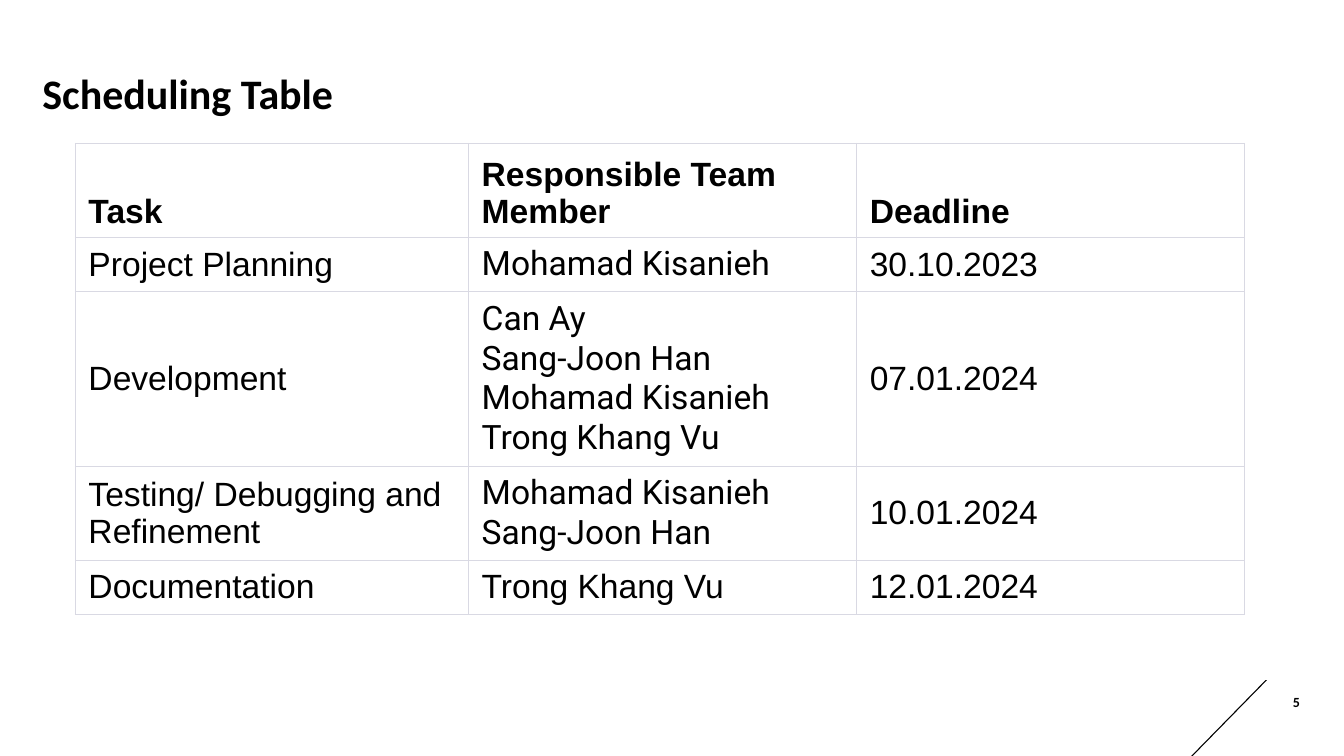
"""Build the scheduling table slide."""
import pptx
import pptx.dml.color
import pptx.enum.shapes
import pptx.enum.text
import pptx.oxml
import pptx.oxml.ns
import pptx.util
from pptx.util import Cm, Pt

TITLE = "Scheduling Table"
PAGE_NUMBER = "5"
HEADER = ("Task", "Responsible Team Member", "Deadline")
TASKS = [
    ("Project Planning", "Mohamad Kisanieh", "30.10.2023"),
    ("Development", "Can Ay\nSang-Joon Han\nMohamad Kisanieh\nTrong Khang Vu", "07.01.2024"),
    ("Testing/ Debugging and Refinement", "Mohamad Kisanieh\nSang-Joon Han", "10.01.2024"),
    ("Documentation", "Trong Khang Vu", "12.01.2024"),
]
COLUMN_WIDTHS = (9.91, 9.78, 9.78)
ROW_HEIGHTS = (2.26, 1.35, 4.01, 1.35, 1.35)
MEMBER_COLUMN = 1

BLACK = pptx.dml.color.RGBColor(0x00, 0x00, 0x00)
BORDER_GREY = pptx.dml.color.RGBColor(0xD9, 0xD9, 0xE3)
ANCHOR = pptx.enum.text.MSO_ANCHOR


def style(paragraph, font_name, size, bold):
    paragraph.font.name = font_name
    paragraph.font.size = Pt(size)
    paragraph.font.bold = bold
    paragraph.font.color.rgb = BLACK


def add_label(slide, text, left, top, width, height, size):
    frame = slide.shapes.add_textbox(Cm(left), Cm(top), Cm(width), Cm(height)).text_frame
    frame.word_wrap = True
    frame.margin_left = frame.margin_top = frame.margin_right = frame.margin_bottom = 0
    frame.text = text
    style(frame.paragraphs[0], "Calibri", size, True)
    return frame


def set_borders(cell, widths):
    properties = cell._tc.get_or_add_tcPr()
    for position, (side, width) in enumerate(widths.items()):
        properties.insert(position, pptx.oxml.parse_xml(
            f'<a:ln{side} {pptx.oxml.ns.nsdecls("a")} w="{Pt(width)}"><a:solidFill>'
            f'<a:srgbClr val="{BORDER_GREY}"/></a:solidFill></a:ln{side}>'))


def add_schedule(slide):
    rows = [HEADER] + TASKS
    last = len(rows) - 1
    schedule = slide.shapes.add_table(
        len(rows), len(HEADER), Cm(1.9), Cm(3.61),
        Cm(sum(COLUMN_WIDTHS)), Cm(sum(ROW_HEIGHTS))).table
    schedule.first_row = schedule.horz_banding = False
    for column, width in zip(schedule.columns, COLUMN_WIDTHS):
        column.width = Cm(width)
    for r, (entries, height) in enumerate(zip(rows, ROW_HEIGHTS)):
        schedule.rows[r].height = Cm(height)
        for c, entry in enumerate(entries):
            cell = schedule.cell(r, c)
            cell.text = entry
            cell.fill.background()
            cell.margin_left = cell.margin_right = Cm(0.33)
            cell.margin_top = cell.margin_bottom = Cm(0.17)
            cell.vertical_anchor = ANCHOR.BOTTOM if r == 0 else ANCHOR.MIDDLE
            font_name = "Roboto" if c == MEMBER_COLUMN and 0 < r < last else "Arial"
            for paragraph in cell.text_frame.paragraphs:
                style(paragraph, font_name, 24, r == 0)
            set_borders(cell, {"L": 0.75, "R": 0.75, "T": 0.75 if r == 0 else 1,
                               "B": 0.75 if r == last else 1})


def main():
    deck = pptx.Presentation()
    deck.slide_width, deck.slide_height = Cm(33.87), Cm(19.05)
    slide = deck.slides.add_slide(deck.slide_layouts[6])

    corner_stroke = slide.shapes.add_shape(
        pptx.enum.shapes.MSO_SHAPE.PARALLELOGRAM, Cm(30.02), Cm(17.14), Cm(1.91), Cm(1.91))
    corner_stroke.adjustments[0] = 0.98
    corner_stroke.shadow.inherit = False
    corner_stroke.fill.solid()
    corner_stroke.fill.fore_color.rgb = BLACK
    corner_stroke.line.fill.background()

    add_label(slide, TITLE, 1.07, 1.7, 31.75, 1.27, 30)
    page = add_label(slide, PAGE_NUMBER, 31.34, 17.48, 1.42, 0.43, 10)
    page.vertical_anchor = ANCHOR.MIDDLE
    page.paragraphs[0].alignment = pptx.enum.text.PP_ALIGN.RIGHT
    page.paragraphs[0].space_after = Pt(6)

    add_schedule(slide)
    deck.save("out.pptx")


if __name__ == "__main__":
    main()
